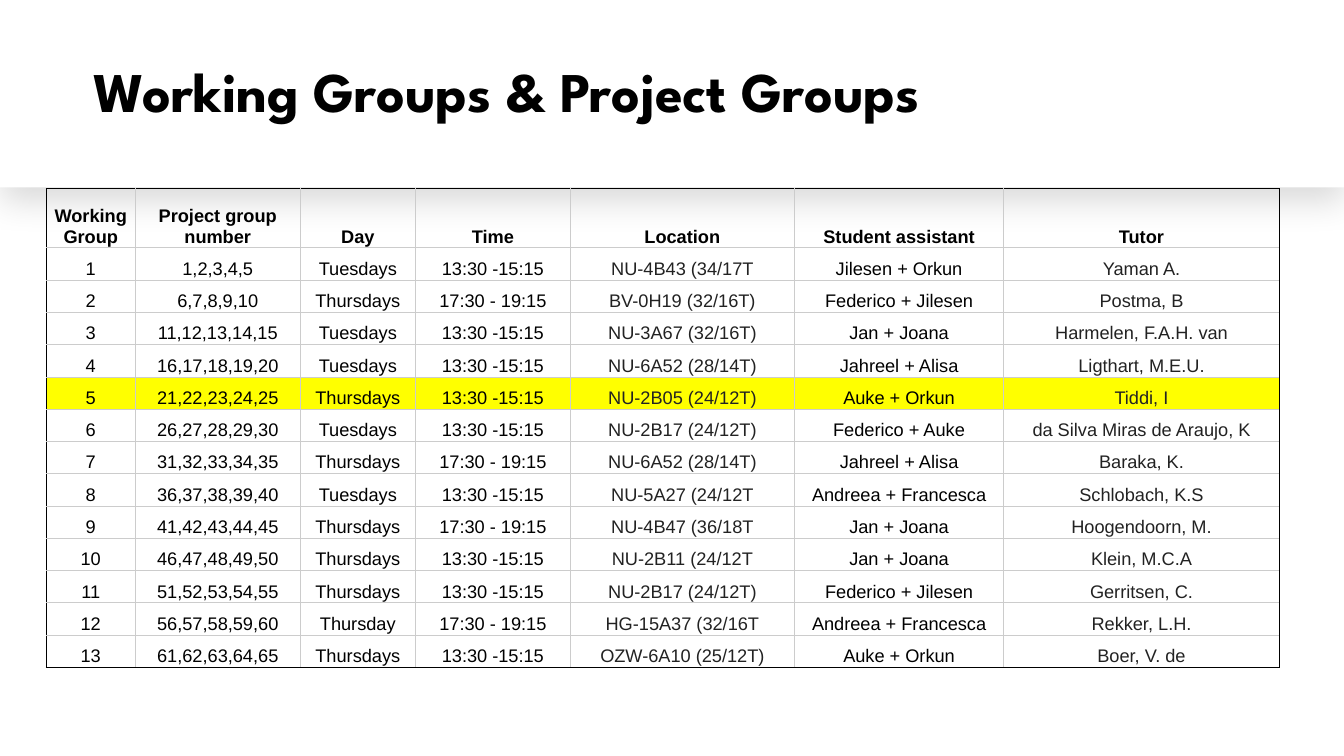
from lxml.etree import SubElement
from pptx import Presentation
from pptx.dml.color import RGBColor
from pptx.enum.shapes import MSO_SHAPE
from pptx.enum.text import MSO_ANCHOR, PP_ALIGN
from pptx.oxml.ns import qn
from pptx.util import Inches, Pt

BLACK = RGBColor(0x00, 0x00, 0x00)
DARK = RGBColor(0x22, 0x22, 0x22)
GREY = RGBColor(0xCC, 0xCC, 0xCC)
WHITE = RGBColor(0xFF, 0xFF, 0xFF)
YELLOW = RGBColor(0xFF, 0xFF, 0x00)

HEADS = ["Working Group", "Project group number", "Day", "Time",
         "Location", "Student assistant", "Tutor"]
EARLY, LATE = "13:30 -15:15", "17:30 - 19:15"
GROUPS = [
    ("Tuesdays", EARLY, "NU-4B43 (34/17T", "Jilesen + Orkun", "Yaman A."),
    ("Thursdays", LATE, "BV-0H19 (32/16T)", "Federico + Jilesen", "Postma, B"),
    ("Tuesdays", EARLY, "NU-3A67 (32/16T)", "Jan + Joana", "Harmelen, F.A.H. van"),
    ("Tuesdays", EARLY, "NU-6A52 (28/14T)", "Jahreel + Alisa", "Ligthart, M.E.U."),
    ("Thursdays", EARLY, "NU-2B05 (24/12T)", "Auke + Orkun", "Tiddi, I"),
    ("Tuesdays", EARLY, "NU-2B17 (24/12T)", "Federico + Auke", "da Silva Miras de Araujo, K"),
    ("Thursdays", LATE, "NU-6A52 (28/14T)", "Jahreel + Alisa", "Baraka, K."),
    ("Tuesdays", EARLY, "NU-5A27 (24/12T", "Andreea + Francesca", "Schlobach, K.S"),
    ("Thursdays", LATE, "NU-4B47 (36/18T", "Jan + Joana", "Hoogendoorn, M."),
    ("Thursdays", EARLY, "NU-2B11 (24/12T", "Jan + Joana", "Klein, M.C.A"),
    ("Thursdays", EARLY, "NU-2B17 (24/12T)", "Federico + Jilesen", "Gerritsen, C."),
    ("Thursday", LATE, "HG-15A37 (32/16T", "Andreea + Francesca", "Rekker, L.H."),
    ("Thursdays", EARLY, "OZW-6A10 (25/12T)", "Auke + Orkun", "Boer, V. de"),
]
SIZE = 5     # project groups in each working group
MARKED = 5   # highlighted working group
# Shares of the slide, in percent
WIDTHS = [6.6, 12.3, 8.55, 11.55, 16.65, 15.6, 20.48]
HEAD_ROW, BODY_ROW = 7.87, 4.27


class Deck:
    """Style and current slide; lengths are percent of the slide's size."""
    face, title_face = "Arial", "League Spartan"

    def __init__(self):
        self.prs = Presentation()
        self.prs.slide_width, self.prs.slide_height = Inches(13.33), Inches(7.5)
        self.slide = self.prs.slides.add_slide(self.prs.slide_layouts[6])

    def wide(self, share):
        return round(self.prs.slide_width * share / 100)

    def high(self, share):
        return round(self.prs.slide_height * share / 100)

    def box(self, left, top, width, height):
        return self.wide(left), self.high(top), self.wide(width), self.high(height)

    def style(self, para, face, size, color, bold):
        for run in para.runs:
            font = run.font
            font.name, font.size, font.bold = face, Pt(size), bold
            font.color.rgb = color

    def band(self, *place):
        shape = self.slide.shapes.add_shape(MSO_SHAPE.RECTANGLE, *self.box(*place))
        shape.fill.solid()
        shape.fill.fore_color.rgb = WHITE
        shape.line.fill.background()
        # Soft shadow below the band
        shape.shadow.inherit = False
        effects = shape._element.spPr.find(qn("a:effectLst"))
        shade = SubElement(effects, qn("a:outerShdw"), blurRad=str(Pt(24)),
                           dist=str(Pt(9)), dir=str(91 * 60000),
                           algn="t", rotWithShape="0")
        tint = SubElement(shade, qn("a:srgbClr"), val=str(BLACK))
        SubElement(tint, qn("a:alpha"), val="14000")

    def title(self, text, *place):
        frame = self.slide.shapes.add_textbox(*self.box(*place)).text_frame
        frame.word_wrap = True
        frame.vertical_anchor = MSO_ANCHOR.MIDDLE
        frame.text = text
        para = frame.paragraphs[0]
        para.line_spacing = 0.9
        self.style(para, self.title_face, 40, BLACK, True)

    def edge(self, cell, side, color):
        line = SubElement(cell._tc.get_or_add_tcPr(), qn("a:ln" + side),
                          w=str(Pt(0.75)))
        fill = SubElement(line, qn("a:solidFill"))
        SubElement(fill, qn("a:srgbClr"), val=str(color))

    def cell(self, cell, text, color, bold, fill, outer):
        cell.margin_left = cell.margin_right = Inches(0.01)
        cell.margin_top = cell.margin_bottom = Inches(0.01)
        cell.vertical_anchor = MSO_ANCHOR.BOTTOM
        for side in "LRTB":
            self.edge(cell, side, BLACK if outer[side] else GREY)
        if fill is None:
            cell.fill.background()
        else:
            cell.fill.solid()
            cell.fill.fore_color.rgb = fill
        cell.text_frame.text = text
        para = cell.text_frame.paragraphs[0]
        para.alignment = PP_ALIGN.CENTER
        self.style(para, self.face, 13, color, bold)

    def table(self, rows, left, top):
        heights = [HEAD_ROW] + [BODY_ROW] * (len(rows) - 1)
        place = self.box(left, top, sum(WIDTHS), sum(heights))
        table = self.slide.shapes.add_table(len(rows), len(WIDTHS), *place).table
        table.first_row = table.horz_banding = False
        for col, width in zip(table.columns, WIDTHS):
            col.width = self.wide(width)
        for row, height in zip(table.rows, heights):
            row.height = self.high(height)
        for r, row in enumerate(rows):
            for c, text in enumerate(row):
                soft = r > 0 and HEADS[c] in ("Location", "Tutor")
                outer = {"L": c == 0, "R": c == len(row) - 1,
                         "T": r == 0, "B": r == len(rows) - 1}
                self.cell(table.cell(r, c), text, DARK if soft else BLACK,
                          r == 0, YELLOW if r == MARKED else None, outer)


def span(group):
    first = (group - 1) * SIZE + 1
    return ",".join(str(n) for n in range(first, first + SIZE))


def main():
    deck = Deck()
    # Title band
    deck.band(0, 0, 100, 24.8)
    deck.title("Working Groups & Project Groups", 6.23, 4, 85.95, 16.93)
    # Schedule
    body = [(str(n), span(n), *group) for n, group in enumerate(GROUPS, 1)]
    deck.table([HEADS] + body, 3.45, 24.93)
    deck.prs.save("out.pptx")


if __name__ == "__main__":
    main()
